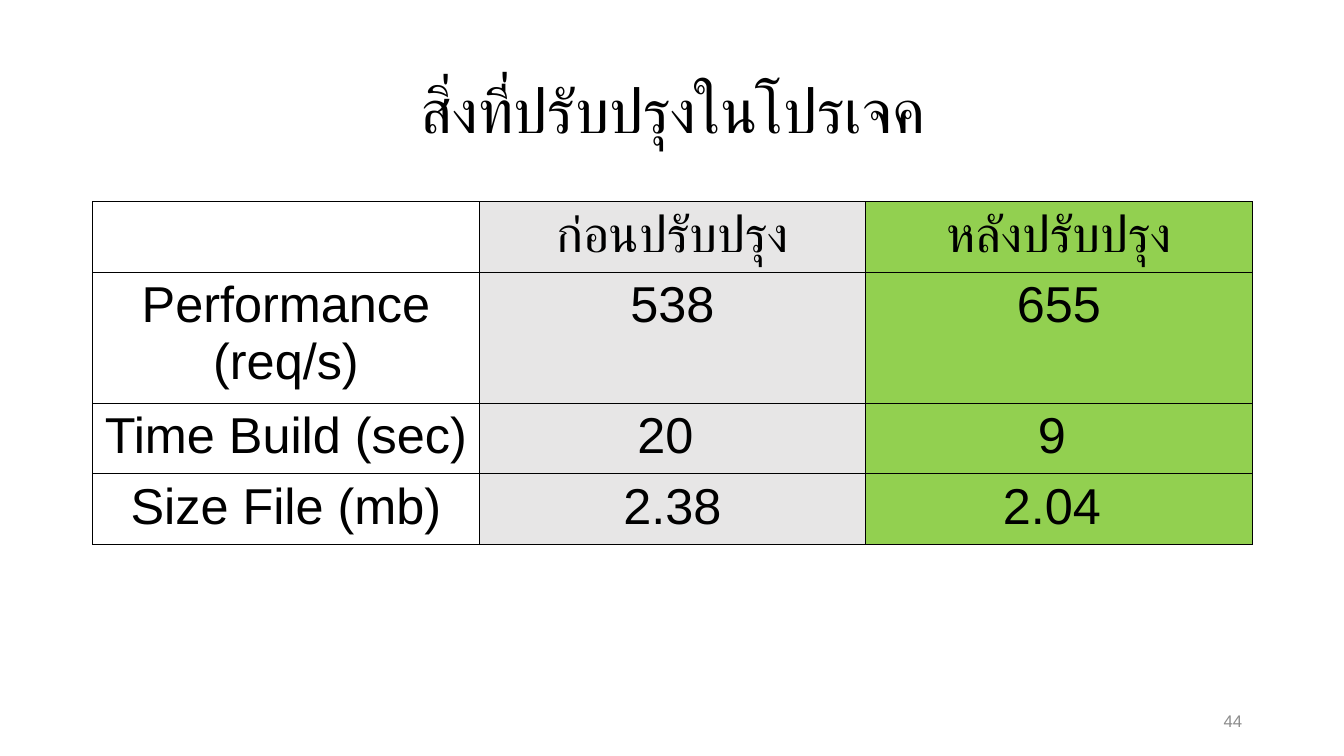
from lxml.etree import SubElement
from pptx import Presentation
from pptx.dml.color import RGBColor
from pptx.enum.text import MSO_ANCHOR, PP_ALIGN
from pptx.oxml.ns import qn
from pptx.util import Inches, Pt

TITLE = "สิ่งที่ปรับปรุงในโปรเจค"
ROWS = [
    ("", "ก่อนปรับปรุง", "หลังปรับปรุง"),
    ("Performance (req/s)", "538", "655"),
    ("Time Build (sec)", "20 ", "9 "),
    ("Size File (mb)", "2.38", "2.04 "),
]
HEIGHTS = [0.66, 1.22, 0.66, 0.66]
NUMBER = "44"

FONT = "Arial"
BLACK = RGBColor(0x00, 0x00, 0x00)
GRAY = RGBColor(0x8C, 0x8C, 0x8C)
SILVER = RGBColor(0xE7, 0xE6, 0xE6)
GREEN = RGBColor(0x92, 0xD0, 0x50)
FILLS = [None, SILVER, GREEN]
LEFT, WIDTH = 0.92, 11.5


def write(frame, text, size, color, align):
    frame.text = text
    para = frame.paragraphs[0]
    para.alignment = align
    for run in para.runs:
        font = run.font
        font.name, font.size, font.bold = FONT, Pt(size), False
        font.color.rgb = color
        # Thai letters take the complex-script font
        SubElement(font._element, qn("a:cs"), typeface=FONT)
    return para


def add_text(slide, box, text, size, color, align):
    frame = slide.shapes.add_textbox(*map(Inches, box)).text_frame
    frame.word_wrap = True
    frame.vertical_anchor = MSO_ANCHOR.MIDDLE
    return write(frame, text, size, color, align)


def add_border(cell):
    props = cell._tc.get_or_add_tcPr()
    for i, side in enumerate(("lnL", "lnR", "lnT", "lnB")):
        line = props.makeelement(qn("a:" + side), {"w": str(Pt(1))})
        fill = SubElement(line, qn("a:solidFill"))
        SubElement(fill, qn("a:srgbClr"), val=str(BLACK))
        props.insert(i, line)


def add_grid(slide):
    count = len(ROWS[0])
    frame = slide.shapes.add_table(
        len(ROWS), count, Inches(LEFT), Inches(2),
        Inches(WIDTH), Inches(sum(HEIGHTS)))
    table = frame.table
    table.first_row = table.horz_banding = False
    for col in table.columns:
        col.width = Inches(WIDTH / count)
    for r, (texts, height) in enumerate(zip(ROWS, HEIGHTS)):
        table.rows[r].height = Inches(height)
        for c, (text, color) in enumerate(zip(texts, FILLS)):
            cell = table.cell(r, c)
            write(cell.text_frame, text, 36, BLACK, PP_ALIGN.CENTER)
            if color is None:
                cell.fill.background()
            else:
                cell.fill.solid()
                cell.fill.fore_color.rgb = color
            add_border(cell)


def main():
    deck = Presentation()
    deck.slide_width, deck.slide_height = Inches(13.33), Inches(7.5)
    slide = deck.slides.add_slide(deck.slide_layouts[6])
    title = add_text(slide, (LEFT, 0.4, WIDTH, 1.45), TITLE, 44, BLACK,
                     PP_ALIGN.CENTER)
    title.line_spacing = 0.9
    add_grid(slide)
    add_text(slide, (9.42, 6.95, 3, 0.4), NUMBER, 12, GRAY, PP_ALIGN.RIGHT)
    deck.save("out.pptx")


if __name__ == "__main__":
    main()
